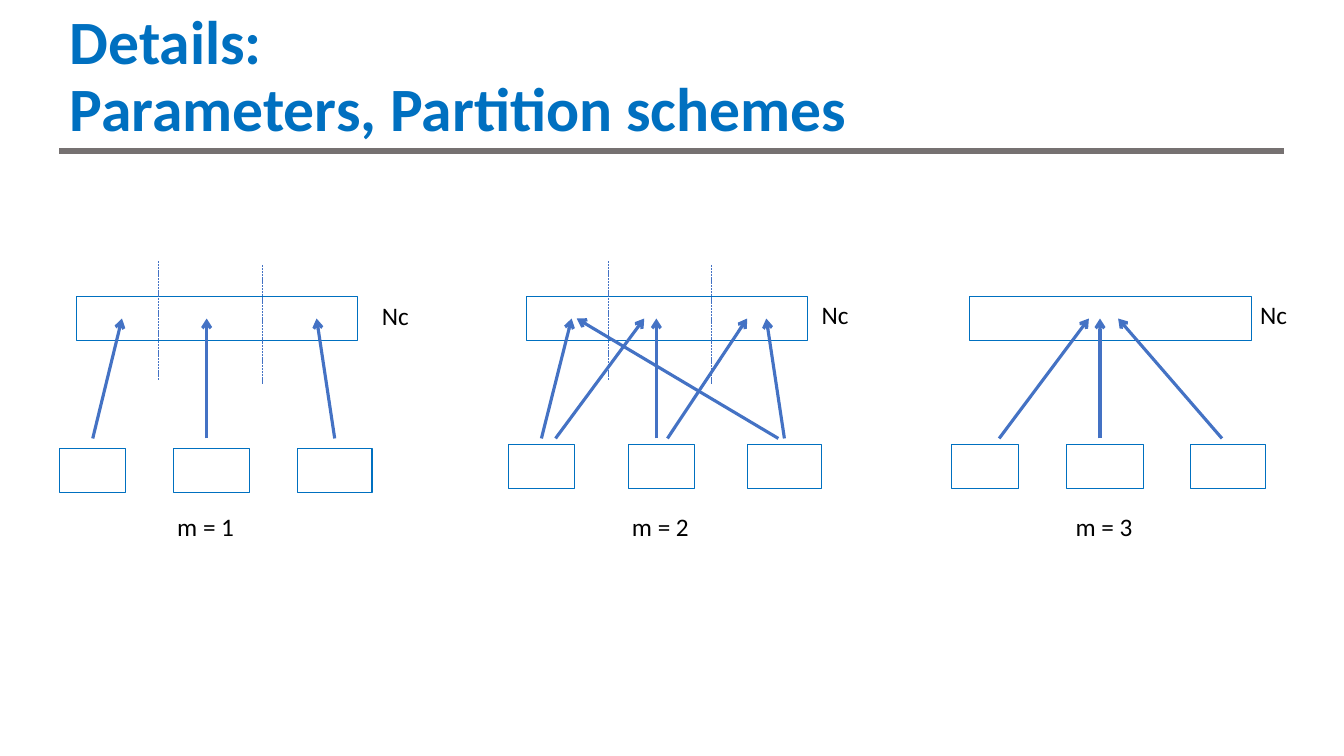
from dataclasses import dataclass

from lxml import etree
from pptx import Presentation
from pptx.dml.color import RGBColor
from pptx.enum.dml import MSO_LINE
from pptx.enum.shapes import MSO_CONNECTOR, MSO_SHAPE
from pptx.enum.text import MSO_ANCHOR, MSO_AUTO_SIZE, PP_ALIGN
from pptx.oxml.ns import qn
from pptx.util import Inches, Pt

STRAIGHT = MSO_CONNECTOR.STRAIGHT
RECTANGLE = MSO_SHAPE.RECTANGLE
SHORT_DASH = MSO_LINE.SQUARE_DOT
MIDDLE = MSO_ANCHOR.MIDDLE
LEFT = PP_ALIGN.LEFT
NO_FIT = MSO_AUTO_SIZE.NONE
GROW = MSO_AUTO_SIZE.SHAPE_TO_FIT_TEXT

BAR_TOP, BAR_WIDTH, BOX_HEIGHT = 2.94, 2.79, 0.44
ARROW_TOP, ARROW_BOTTOM = 3.16, 4.35
DIVIDERS = [(0.81, 2.59), (1.84, 2.63)]


def color(value):
    return RGBColor.from_string(value)


@dataclass
class Scheme:
    """One partition diagram; horizontal offsets count from the bar's left edge."""
    caption: str
    left: float
    box_top: float
    boxes: list  # offset, width
    arrows: list  # start offset, end offset
    dividers: list
    caption_offset: float
    count_offset: float
    count_top: float


SCHEMES = [
    Scheme("m = 1", 0.76, 4.45, [(-0.17, 0.66), (0.96, 0.76), (2.19, 0.74)],
           [(0.16, 0.45), (1.29, 1.29), (2.56, 2.38)],
           DIVIDERS, 0.9, 2.93, 2.93),
    Scheme("m = 2", 5.22, 4.41, [(-0.18, 0.66), (1.01, 0.66), (2.19, 0.74)],
           [(0.15, 0.45), (1.29, 1.29), (2.56, 2.38),
            (0.29, 1.17), (1.4, 2.19), (2.5, 0.5)],
           DIVIDERS, 0.95, 2.83, 2.92),
    Scheme("m = 3", 9.62, 4.41, [(-0.18, 0.66), (0.96, 0.76), (2.19, 0.74)],
           [(1.29, 1.29), (0.29, 1.18), (2.5, 1.47)],
           [], 0.95, 2.78, 2.92),
]


class Painter:
    font = "Calibri"
    blue = "0070C0"
    arrow_blue = "4472C4"
    gray = "767171"
    black = "000000"

    def __init__(self, page):
        self.page = page

    def style(self, paragraph, size, value, bold=False):
        for span in paragraph.runs:
            span.font.name = self.font
            span.font.size = Pt(size)
            span.font.bold = bold
            span.font.color.rgb = color(value)

    def title(self, text, left, top, width, height):
        box = self.page.shapes.title
        box.left, box.top = Inches(left), Inches(top)
        box.width, box.height = Inches(width), Inches(height)
        frame = box.text_frame
        frame.text = text
        frame.auto_size = NO_FIT
        frame.vertical_anchor = MIDDLE
        paragraph = frame.paragraphs[0]
        paragraph.alignment = LEFT
        paragraph.line_spacing = 0.9
        self.style(paragraph, 44, self.blue, bold=True)

    def label(self, text, left, top, width):
        box = self.page.shapes.add_textbox(
            Inches(left), Inches(top), Inches(width), Inches(0.4))
        frame = box.text_frame
        frame.text = text
        frame.word_wrap = False
        frame.auto_size = GROW
        self.style(frame.paragraphs[0], 18, self.black)

    def outline(self, left, top, width):
        box = self.page.shapes.add_shape(
            RECTANGLE, Inches(left), Inches(top), Inches(width), Inches(BOX_HEIGHT))
        box.shadow.inherit = False
        box.fill.background()
        box.line.color.rgb = color(self.blue)
        box.line.width = Pt(0.75)

    def line(self, start, end, value, width, dash=None, arrow=False):
        connector = self.page.shapes.add_connector(
            STRAIGHT, *(Inches(number) for number in (*start, *end)))
        connector.line.color.rgb = color(value)
        connector.line.width = Pt(width)
        if dash:
            connector.line.dash_style = dash
        if arrow:
            etree.SubElement(connector.line._get_or_add_ln(), qn("a:tailEnd"), type="arrow")
        etree.SubElement(connector._element.spPr, qn("a:effectLst"))

    def scheme(self, scheme):
        left = scheme.left
        for offset, width in scheme.boxes:
            self.outline(left + offset, scheme.box_top, width)
        self.outline(left, BAR_TOP, BAR_WIDTH)
        for start, end in scheme.arrows:
            self.line((left + start, ARROW_BOTTOM), (left + end, ARROW_TOP),
                      self.arrow_blue, 2.25, arrow=True)
        for offset, top in scheme.dividers:
            self.line((left + offset, top), (left + offset, top + 1.19),
                      self.arrow_blue, 0.5, dash=SHORT_DASH)
        self.label(scheme.caption, left + scheme.caption_offset, 5.02, 0.77)
        self.label("Nc", left + scheme.count_offset, scheme.count_top, 0.47)


def main():
    deck = Presentation()
    deck.slide_width, deck.slide_height = Inches(13.33), Inches(7.5)
    page = deck.slides.add_slide(deck.slide_layouts[5])
    painter = Painter(page)
    painter.title("Details:\vParameters, Partition schemes", 0.59, 0.05, 11.5, 1.45)
    painter.line((0.59, 1.5), (12.73, 1.5), painter.gray, 4.5)
    for scheme in SCHEMES:
        painter.scheme(scheme)
    deck.save("out.pptx")


if __name__ == "__main__":
    main()
